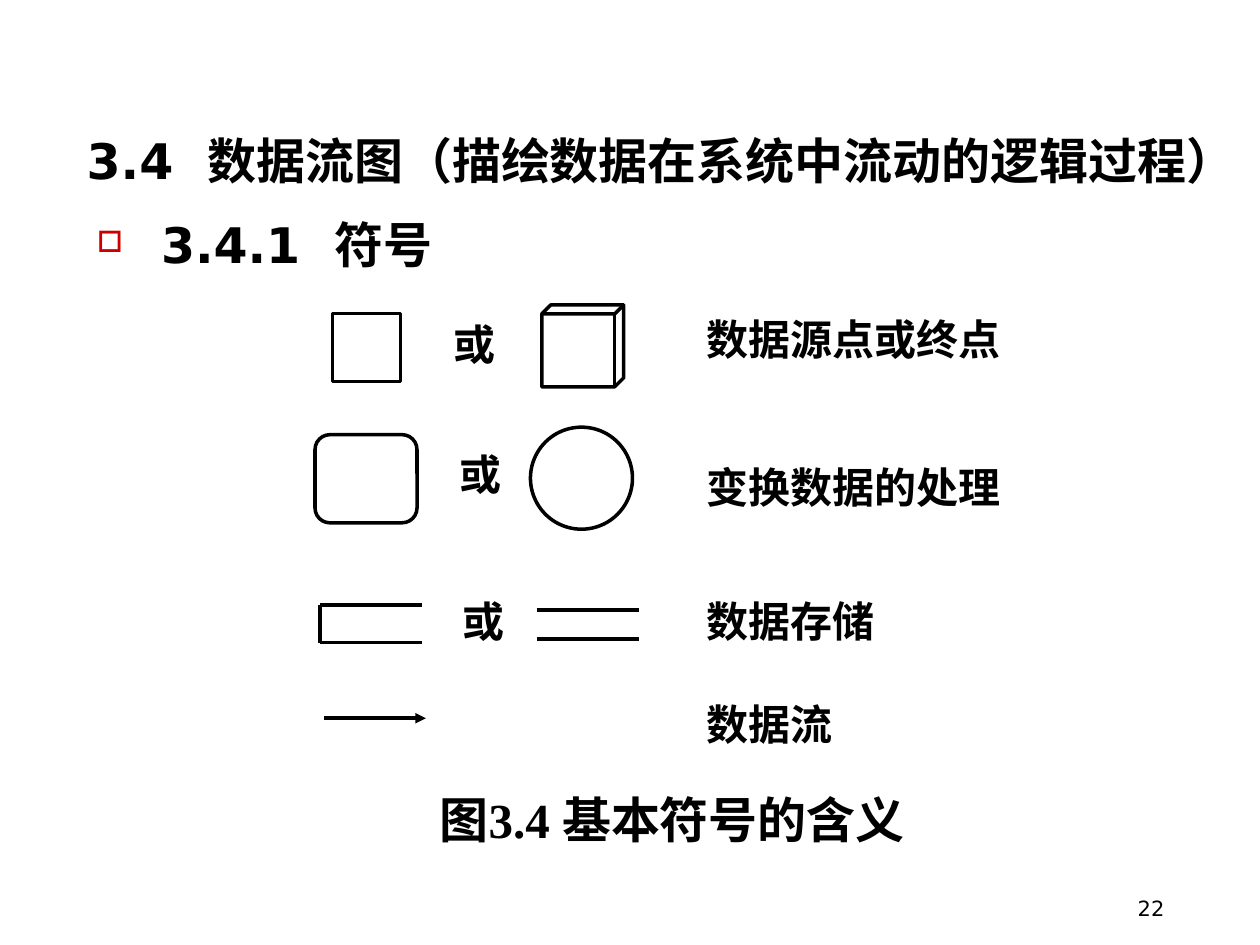
import pptx
import pptx.dml.color
import pptx.enum.shapes
import pptx.enum.text
import pptx.oxml
import pptx.oxml.ns
import pptx.util
from dataclasses import dataclass

Inches = pptx.util.Inches
Pt = pptx.util.Pt
SHAPE = pptx.enum.shapes.MSO_SHAPE
ALIGN = pptx.enum.text.PP_ALIGN
ANCHOR = pptx.enum.text.MSO_ANCHOR


@dataclass(frozen=True)
class Theme:
    ink: str = "000000"
    bullet: str = "CC0000"
    heading_font: str = "DejaVu Sans"
    chinese_font: str = "Noto Sans CJK SC"
    label_font: str = "Times New Roman"
    heading_size: int = 28
    label_size: int = 24
    number_size: int = 12
    line_width: int = 2


THEME = Theme()
INK = pptx.dml.color.RGBColor.from_string(THEME.ink)


def add_child(parent, tag, **attributes):
    child = pptx.oxml.parse_xml(f"<a:{tag} {pptx.oxml.ns.nsdecls('a')}/>")
    for name, value in attributes.items():
        child.set(name, str(value))
    parent.append(child)
    return child


def add_text(slide, box, text, size, font, bold=True, align=ALIGN.LEFT,
             anchor=ANCHOR.TOP, inset=True):
    shape = slide.shapes.add_textbox(*map(Inches, box))
    frame = shape.text_frame
    frame.word_wrap = True
    frame.vertical_anchor = anchor
    if not inset:
        frame.margin_left = frame.margin_right = 0
        frame.margin_top = frame.margin_bottom = 0
    paragraph = frame.paragraphs[0]
    paragraph.text = text
    paragraph.alignment = align
    paragraph.font.size = Pt(size)
    paragraph.font.name = font
    paragraph.font.bold = bold
    paragraph.font.color.rgb = INK


def add_label(slide, box, text, size=THEME.label_size):
    add_text(slide, box, text, size, THEME.label_font,
             align=ALIGN.JUSTIFY, inset=False)


def add_bullet_heading(slide, box, parts):
    shape = slide.shapes.add_textbox(*map(Inches, box))
    frame = shape.text_frame
    frame.word_wrap = True
    paragraph = frame.paragraphs[0]
    paragraph.line_spacing = 0.9
    properties = paragraph._p.get_or_add_pPr()
    properties.set("marL", str(Inches(0.51)))
    properties.set("indent", str(Inches(-0.51)))
    add_child(add_child(properties, "buClr"), "srgbClr", val=THEME.bullet)
    add_child(properties, "buSzPct", val=60000)
    add_child(properties, "buChar", char="□")
    paragraph.font.size = Pt(THEME.heading_size)
    paragraph.font.bold = True
    paragraph.font.color.rgb = INK
    for text, font in parts:
        run = paragraph.add_run()
        run.text = text
        run.font.name = font


def add_symbol(slide, kind, box, adjustment=None):
    shape = slide.shapes.add_shape(kind, *map(Inches, box))
    shape.shadow.inherit = False
    shape.fill.background()
    shape.line.color.rgb = INK
    shape.line.width = Pt(THEME.line_width)
    if adjustment is not None:
        shape.adjustments[0] = adjustment


def add_line(slide, start, end, arrow=False):
    line = slide.shapes.add_connector(
        pptx.enum.shapes.MSO_CONNECTOR.STRAIGHT, *map(Inches, start + end))
    line.line.color.rgb = INK
    line.line.width = Pt(THEME.line_width)
    if arrow:
        add_child(line.line._get_or_add_ln(), "tailEnd", type="triangle")
    add_child(line._element.spPr, "effectLst")


def add_rails(slide, left, top, bottom, width=0.81):
    for y in (top, bottom):
        add_line(slide, (left, y), (left + width, y))


def main():
    presentation = pptx.Presentation()
    presentation.slide_width = Inches(10)
    presentation.slide_height = Inches(7.5)
    slide = presentation.slides.add_slide(presentation.slide_layouts[6])

    # Headings
    add_text(slide, (0.59, 1, 9.37, 0.55),
             "3.4  数据流图（描绘数据在系统中流动的逻辑过程）",
             THEME.heading_size, THEME.heading_font, anchor=ANCHOR.BOTTOM)
    add_bullet_heading(slide, (0.67, 1.71, 3.33, 0.54),
                       [("3.4.1  ", THEME.heading_font),
                        ("符号", THEME.chinese_font)])

    # Source or sink, and process
    add_symbol(slide, SHAPE.RECTANGLE, (2.64, 2.49, 0.54, 0.54))
    add_symbol(slide, SHAPE.CUBE, (4.3, 2.42, 0.65, 0.65), 0.11)
    add_symbol(slide, SHAPE.ROUNDED_RECTANGLE, (2.5, 3.45, 0.81, 0.7), 0.17)
    add_symbol(slide, SHAPE.OVAL, (4.21, 3.39, 0.81, 0.81))

    # Data store: open box or two parallel lines
    add_rails(slide, 2.54, 4.8, 5.1)
    add_line(slide, (2.54, 4.8), (2.54, 5.1))
    add_rails(slide, 4.26, 4.84, 5.07)

    # Data flow
    add_line(slide, (2.57, 5.7), (3.38, 5.7), arrow=True)

    # Words between the alternatives, and meanings
    for left, top in ((3.6, 2.53), (3.65, 3.56), (3.67, 4.73)):
        add_label(slide, (left, top, 0.67, 0.47), "或")
    for top, meaning in ((2.49, "数据源点或终点"), (3.66, "变换数据的处理"),
                         (4.73, "数据存储"), (5.54, "数据流")):
        add_label(slide, (5.61, top, 2.97, 0.47), meaning)

    # Caption and page number
    add_label(slide, (3.49, 6.27, 4.05, 0.47), "图3.4 基本符号的含义",
              THEME.heading_size)
    add_text(slide, (7.17, 7.06, 2.17, 0.29), "22", THEME.number_size,
             THEME.heading_font, bold=False, align=ALIGN.RIGHT)

    presentation.save("out.pptx")


if __name__ == "__main__":
    main()
